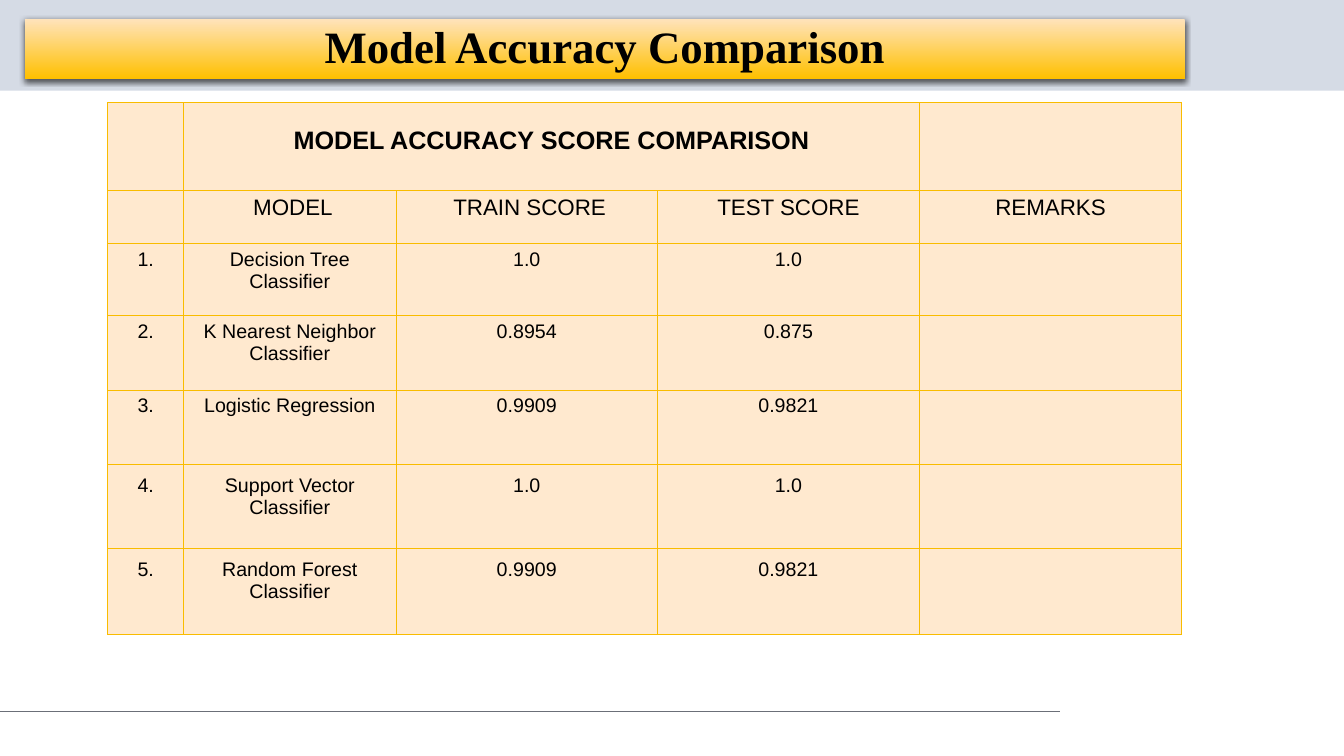
"""Build the model accuracy comparison slide."""
from dataclasses import dataclass

from lxml.etree import SubElement
from pptx import Presentation
from pptx.dml.color import RGBColor
from pptx.enum.shapes import MSO_CONNECTOR as Connector, MSO_SHAPE as Preset
from pptx.enum.text import MSO_ANCHOR as Anchor, PP_ALIGN as Align
from pptx.oxml.ns import qn
from pptx.util import Inches, Pt

COLORS = {
    "band": "D5DBE5",
    "rule": "6B6F78",
    "title_top": "FFE3BB",
    "title_bottom": "FFC000",
    "cell": "FFE9CF",
    "border": "F9BC00",
    "text": "000000",
}
COLUMN_WIDTHS = (0.75, 2.11, 2.59, 2.6, 2.6)


@dataclass(frozen=True)
class Row:
    height: float
    texts: tuple[str, ...]
    size: int = 14
    margin: float = 0.05


ROWS = (
    Row(0.87, ("", "MODEL ACCURACY SCORE COMPARISON", "", "", ""), 18),
    Row(0.53, ("", " MODEL", " TRAIN SCORE", "TEST SCORE", "REMARKS"), 16),
    Row(0.71, ("1.", "Decision Tree Classifier", "1.0", "1.0", "")),
    Row(0.74, ("2.", "K Nearest Neighbor Classifier", "0.8954", "0.875", "")),
    Row(0.74, ("3.", "Logistic Regression", "0.9909", "0.9821", "")),
    Row(0.83, ("4.", "Support Vector Classifier", "1.0", "1.0", ""), margin=0.1),
    Row(0.86, ("5.", "Random Forest Classifier", "0.9909", "0.9821", ""), margin=0.1),
)


def color(name: str) -> RGBColor:
    """Return a named slide colour."""
    return RGBColor.from_string(COLORS[name])


def write(text_frame, text: str, size: int, font: str = "Arial", bold: bool = False):
    """Write one centred run and return its paragraph."""
    paragraph = text_frame.paragraphs[0]
    paragraph.alignment = Align.CENTER
    run = paragraph.add_run()
    run.text = text
    run.font.name = font
    run.font.size = Pt(size)
    run.font.bold = bold
    run.font.color.rgb = color("text")
    return paragraph


def add_background(slide) -> None:
    """Draw the top band behind the title and the rule at the foot."""
    band = slide.shapes.add_shape(Preset.RECTANGLE, 0, 0, Inches(13.33), Inches(0.9))
    band.shadow.inherit = False
    band.fill.solid()
    band.fill.fore_color.rgb = color("band")
    band.line.fill.background()
    rule = slide.shapes.add_connector(
        Connector.STRAIGHT, 0, Inches(7.06), Inches(10.51), Inches(7.06)
    )
    rule.line.color.rgb = color("rule")
    rule.line.width = Pt(0.75)
    SubElement(rule.element.spPr, qn("a:effectLst"))
    for shape in (band, rule):
        slide.shapes.title.element.addprevious(shape.element)


def add_title(slide) -> None:
    """Format the title bar with its gradient and soft shadow."""
    title = slide.shapes.title
    title.left, title.top = Inches(0.25), Inches(0.19)
    title.width, title.height = Inches(11.5), Inches(0.59)
    title.fill.gradient()
    title.fill.gradient_angle = 270
    for stop, name in zip(title.fill.gradient_stops, ("title_top", "title_bottom")):
        stop.color.rgb = color(name)
    effects = SubElement(title.element.spPr, qn("a:effectLst"))
    shadow = SubElement(effects, qn("a:outerShdw"), blurRad="57150", dist="19050",
                        dir="5400000", algn="ctr", rotWithShape="0")
    black = SubElement(shadow, qn("a:srgbClr"), val=COLORS["text"])
    SubElement(black, qn("a:alpha"), val="63000")
    title.text_frame.vertical_anchor = Anchor.MIDDLE
    title.text_frame.word_wrap = True
    paragraph = write(title.text_frame, "Model Accuracy Comparison", 32,
                      "Times New Roman", True)
    paragraph.line_spacing = 0.9


def format_cell(cell, margin: float) -> None:
    """Set a cell's margins, borders and fill."""
    cell.margin_left = cell.margin_right = Inches(0.1)
    cell.margin_top = cell.margin_bottom = Inches(margin)
    properties = cell._tc.get_or_add_tcPr()
    for side in ("lnL", "lnR", "lnT", "lnB"):
        line = SubElement(properties, qn(f"a:{side}"), w=str(Pt(0.75)))
        fill = SubElement(line, qn("a:solidFill"))
        SubElement(fill, qn("a:srgbClr"), val=COLORS["border"])
    cell.fill.solid()
    cell.fill.fore_color.rgb = color("cell")


def add_scores(slide) -> None:
    """Add the table of train and test scores."""
    table = slide.shapes.add_table(
        len(ROWS), len(COLUMN_WIDTHS), Inches(1.07), Inches(1.02),
        Inches(sum(COLUMN_WIDTHS)), Inches(sum(row.height for row in ROWS)),
    ).table
    table.first_row = table.horz_banding = False
    for column, width in zip(table.columns, COLUMN_WIDTHS):
        column.width = Inches(width)
    for row_index, row in enumerate(ROWS):
        table.rows[row_index].height = Inches(row.height)
        for column_index, text in enumerate(row.texts):
            cell = table.cell(row_index, column_index)
            format_cell(cell, row.margin)
            if text:
                write(cell.text_frame, text, row.size, bold=row_index == 0)
    heading = table.cell(0, 1)
    heading.merge(table.cell(0, 3))
    heading.vertical_anchor = Anchor.MIDDLE
    heading.margin_bottom = Inches(0.17)


def main() -> None:
    """Build and save the presentation."""
    presentation = Presentation()
    presentation.slide_width = Inches(13.33)
    presentation.slide_height = Inches(7.5)
    slide = presentation.slides.add_slide(presentation.slide_layouts[5])
    add_background(slide)
    add_title(slide)
    add_scores(slide)
    presentation.save("out.pptx")


if __name__ == "__main__":
    main()
